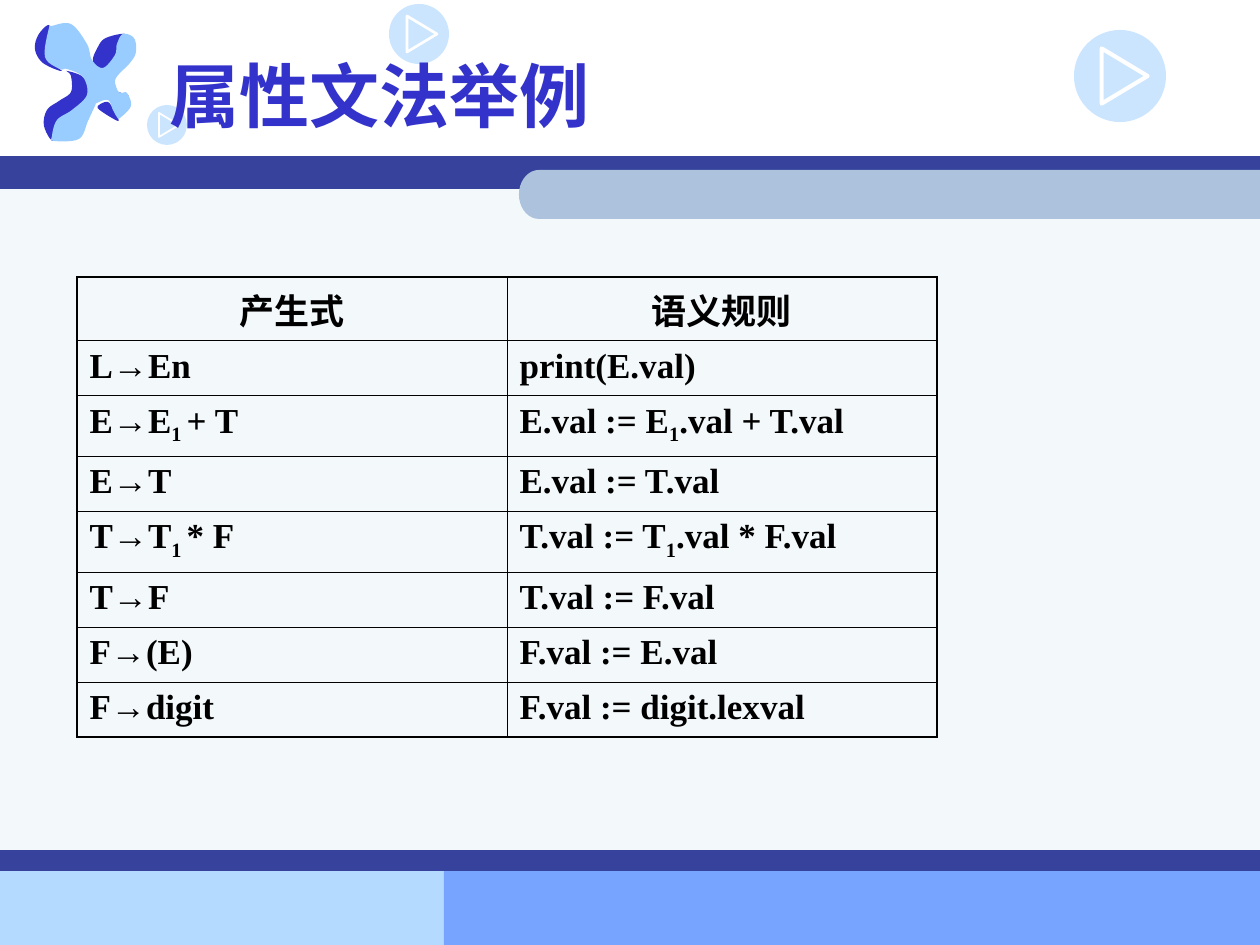
import math
from dataclasses import dataclass

from lxml import etree
from pptx import Presentation
from pptx.dml.color import RGBColor
from pptx.enum.shapes import MSO_SHAPE
from pptx.enum.text import MSO_ANCHOR, PP_ALIGN
from pptx.oxml.ns import qn
from pptx.util import Emu, Pt

RECT, OVAL = MSO_SHAPE.RECTANGLE, MSO_SHAPE.OVAL
TRIANGLE = MSO_SHAPE.ISOSCELES_TRIANGLE
MIDDLE = MSO_ANCHOR.MIDDLE
LEFT, CENTER = PP_ALIGN.LEFT, PP_ALIGN.CENTER


@dataclass(frozen=True)
class Theme:
    white: str = "FFFFFF"
    black: str = "000000"
    body: str = "F3F8FB"
    band: str = "36429B"
    tab: str = "ADC3DD"
    foot_left: str = "B5DAFF"
    foot_right: str = "77A4FF"
    accent: str = "3333CC"
    sky: str = "99CCFF"
    latin: str = "Times New Roman"
    asian: str = "Noto Sans CJK SC"
    title_size: int = 40
    cell_size: int = 20
    outer_line: float = 1.08
    inner_line: float = 0.45


T = Theme()

TITLE = "属性文法举例"
TITLE_BOX = (157, 21, 1071, 147)
ROWS = [
    ("产生式", "语义规则"),
    ("L→En", "print(E.val)"),
    ("E→E|1 |+ T", "E.val := E|1|.val + T.val"),
    ("E→T", "E.val := T.val"),
    ("T→T|1 |* F", "T.val := T|1|.val * F.val"),
    ("T→F", "T.val := F.val"),
    ("F→(E)", "F.val := E.val"),
    ("F→digit", "F.val := digit.lexval"),
]
TABLE_LEFT, TABLE_TOP, COL_W = 77, 277, 430
HEADER_H, ROW_H, SUB_ROW_H = 63, 55, 61

BANDS = [
    (0, 871, 444, 74, T.foot_left),
    (444, 871, 816, 74, T.foot_right),
    (0, 176, 1260, 695, T.body),
    (0, 156, 1260, 33, T.band),
    (0, 850, 1260, 21, T.band),
]
TAB_LEFT, TAB_TOP, TAB_RIGHT, TAB_H, TAB_ROUND = 519, 170, 1260, 49, 20
PLAY_ICONS = [(389, 4, 60), (1074, 30, 92), (147, 105, 40)]
BLOB_SHADOWS = [
    [(47, 57), (50, 26), (39, 34), (35, 49), (43, 63), (62, 71)],
    [(58, 123), (73, 113), (88, 97), (84, 78), (67, 71), (71, 76),
     (71, 92), (59, 101), (47, 110), (44, 126), (53, 141)],
    [(115, 113), (108, 102), (98, 106), (101, 111), (118, 121)],
    [(121, 96), (129, 96), (118, 92)],
    [(105, 69), (116, 55), (118, 44), (125, 34), (106, 38), (98, 47), (93, 62)],
]
BLOB = [
    (130, 63), (136, 52), (134, 38), (123, 34), (117, 44), (115, 55),
    (103, 68), (92, 60), (87, 44), (71, 24), (52, 26), (49, 28), (45, 57),
    (60, 69), (67, 69), (83, 77), (87, 95), (72, 110), (57, 120), (52, 136),
    (54, 141), (79, 139), (88, 121), (95, 106), (97, 103), (108, 100),
    (113, 110), (117, 117), (120, 118), (131, 106), (127, 93), (121, 93),
    (117, 89), (116, 78),
]


def px(n):
    return Emu(round(n * 914400 / 126))


def rgb(color):
    return RGBColor.from_string(color)


def paint(sp, color):
    sp.shadow.inherit = False
    sp.fill.solid()
    sp.fill.fore_color.rgb = rgb(color)
    sp.line.fill.background()
    return sp


def add_shape(shapes, kind, x, y, w, h, color):
    return paint(shapes.add_shape(kind, px(x), px(y), px(w), px(h)), color)


def add_outline(shapes, points, color):
    pts = [(px(x), px(y)) for x, y in points]
    fb = shapes.build_freeform(*pts[0], scale=1.0)
    fb.add_line_segments(pts[1:], close=True)
    return paint(fb.convert_to_shape(), color)


def smooth(points, steps=6):
    n, out = len(points), []
    for i in range(n):
        quad = [points[(i + k) % n] for k in (-1, 0, 1, 2)]
        for t in (s / steps for s in range(steps)):
            out.append(tuple(
                b + t * (c - a) / 2
                + t * t * (2 * a - 5 * b + 4 * c - d) / 2
                + t ** 3 * (3 * b - a - 3 * c + d) / 2
                for a, b, c, d in zip(*quad)))
    return out


def add_tab(shapes):
    r = TAB_H / 2
    arc = [math.radians(a) for a in range(90, 271, 10)]
    edge = [(TAB_LEFT + TAB_ROUND * (1 + math.cos(a)),
             TAB_TOP + r * (1 + math.sin(a))) for a in arc]
    corners = [(TAB_RIGHT, TAB_TOP), (TAB_RIGHT, TAB_TOP + TAB_H)]
    add_outline(shapes, edge + corners, T.tab)


def add_play(shapes, x, y, d):
    disc = add_shape(shapes, OVAL, x, y, d, d, T.sky)
    color = disc.fill._xPr.find(qn("a:solidFill"))[0]
    etree.SubElement(color, qn("a:alpha"), val="50000")
    w, h = 0.6 * d, 0.5 * d
    tri = shapes.add_shape(TRIANGLE, px(x + 0.55 * d - w / 2),
                           px(y + d / 2 - h / 2), px(w), px(h))
    tri.shadow.inherit = False
    tri.rotation = 90
    tri.fill.background()
    tri.line.color.rgb = rgb(T.white)
    tri.line.width = px(0.045 * d)
    etree.SubElement(tri.line._ln, qn("a:round"))


def style_run(r, size, color, latin):
    r.font.size, r.font.bold, r.font.name = Pt(size), True, latin
    r.font.color.rgb = rgb(color)
    etree.SubElement(r.font._element, qn("a:ea"), typeface=T.asian)


def set_borders(cell, outer):
    tc_pr = cell._tc.get_or_add_tcPr()
    for i, side in enumerate("LRTB"):
        width = T.outer_line if side in outer else T.inner_line
        ln = etree.Element(qn(f"a:ln{side}"), w=str(Pt(width)))
        fill = etree.SubElement(ln, qn("a:solidFill"))
        etree.SubElement(fill, qn("a:srgbClr"), val=T.black)
        tc_pr.insert(i, ln)


def fill_cell(cell, text, align, outer):
    cell.fill.background()
    set_borders(cell, outer)
    p = cell.text_frame.paragraphs[0]
    p.alignment = align
    for i, part in enumerate(text.split("|")):
        r = p.add_run()
        r.text = part
        style_run(r, T.cell_size, T.black, T.latin)
        if i % 2:
            r.font._element.set("baseline", "-25000")


def add_rules(shapes):
    heights = [HEADER_H] + [SUB_ROW_H if "|" in row[0] else ROW_H
                            for row in ROWS[1:]]
    cols = len(ROWS[0])
    table = shapes.add_table(len(ROWS), cols, px(TABLE_LEFT), px(TABLE_TOP),
                             px(COL_W * cols), px(sum(heights))).table
    for col in table.columns:
        col.width = px(COL_W)
    for i, (row, height) in enumerate(zip(ROWS, heights)):
        table.rows[i].height = px(height)
        for j, text in enumerate(row):
            outer = "L" if j == 0 else "R"
            outer += {0: "T", len(ROWS) - 1: "B"}.get(i, "")
            cell = table.cell(i, j)
            fill_cell(cell, text, LEFT if i else CENTER, outer)
            if i == 0:
                cell.vertical_anchor = MIDDLE


def add_title(shapes):
    sp = shapes.title
    sp.left, sp.top, sp.width, sp.height = map(px, TITLE_BOX)
    tf = sp.text_frame
    tf.text = TITLE
    tf.vertical_anchor = MIDDLE
    p = tf.paragraphs[0]
    p.alignment = LEFT
    style_run(p.runs[0], T.title_size, T.accent, T.asian)
    shapes._spTree.append(sp._element)


def main():
    prs = Presentation()
    prs.slide_width, prs.slide_height = px(1260), px(945)
    shapes = prs.slides.add_slide(prs.slide_layouts[5]).shapes
    for *box, color in BANDS:
        add_shape(shapes, RECT, *box, color)
    add_tab(shapes)
    for points in BLOB_SHADOWS:
        add_outline(shapes, smooth(points), T.accent)
    add_outline(shapes, smooth(BLOB), T.sky)
    for icon in PLAY_ICONS:
        add_play(shapes, *icon)
    add_title(shapes)
    add_rules(shapes)
    prs.save("out.pptx")


if __name__ == "__main__":
    main()
